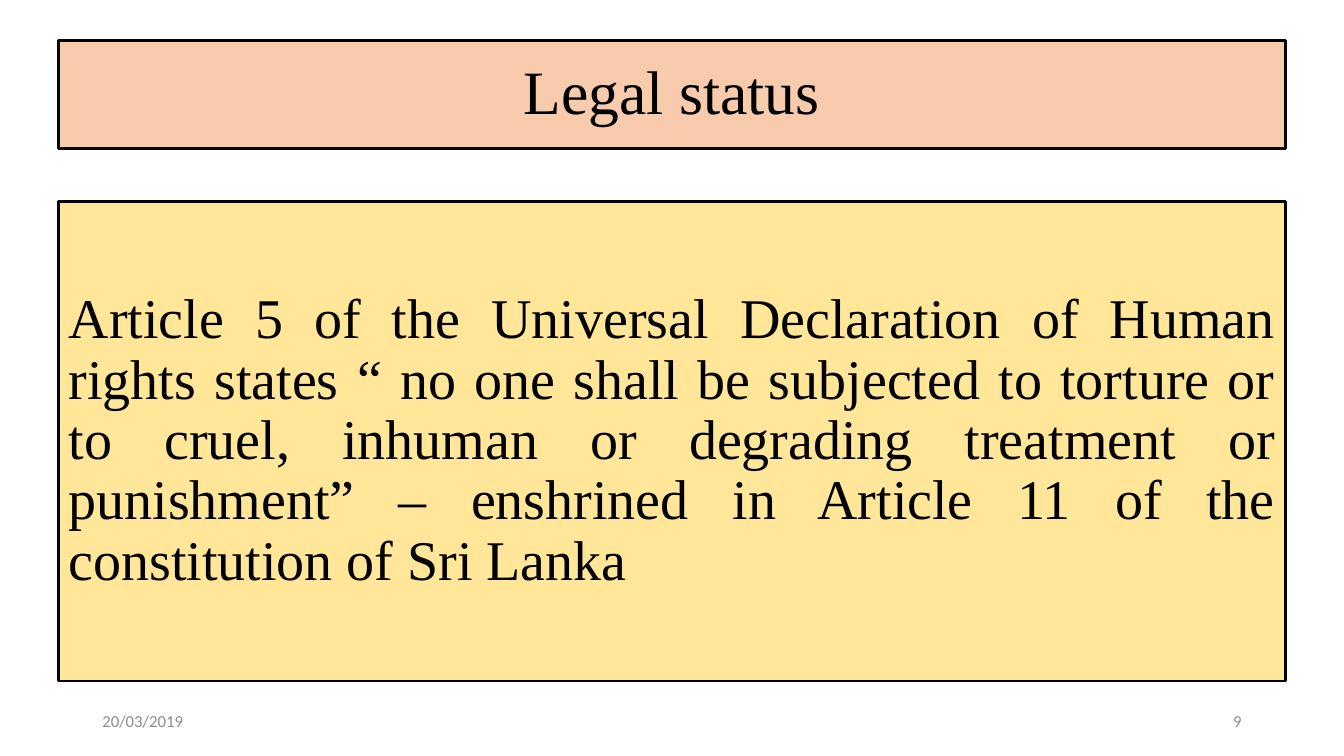
from pptx import Presentation
from pptx.dml.color import RGBColor
from pptx.enum.shapes import MSO_SHAPE
from pptx.enum.text import MSO_ANCHOR, MSO_AUTO_SIZE, PP_ALIGN
from pptx.util import Pt

SERIF = "Times New Roman"
LEFT, WIDTH = 42, 876
QUOTE = (
    "Article 5 of the Universal Declaration of Human rights states “ no one "
    "shall be subjected to torture or to cruel, inhuman or degrading treatment "
    "or punishment” – enshrined in Article 11 of the constitution of Sri Lanka"
)


def color(code):
    return RGBColor.from_string(code)


def place(shape, left, top, width, height):
    shape.left, shape.top = Pt(left), Pt(top)
    shape.width, shape.height = Pt(width), Pt(height)


def write(shape, text, font, size, ink, align):
    frame = shape.text_frame
    frame.word_wrap = True
    frame.auto_size = MSO_AUTO_SIZE.NONE
    frame.vertical_anchor = MSO_ANCHOR.MIDDLE
    line = frame.paragraphs[0]
    line.text = text
    line.alignment = align
    line.font.name = font
    line.font.size = Pt(size)
    line.font.color.rgb = color(ink)
    return line


def panel(shape, top, height, fill, text, size, align):
    """Fill and outline a full-width panel of serif text."""
    place(shape, LEFT, top, WIDTH, height)
    shape.fill.solid()
    shape.fill.fore_color.rgb = color(fill)
    shape.line.color.rgb = color("000000")
    shape.line.width = Pt(2)
    line = write(shape, text, SERIF, size, "000000", align)
    line.line_spacing = 0.9


def footer(slide, left, text, align):
    box = slide.shapes.add_textbox(Pt(left), Pt(500.5), Pt(216), Pt(28.75))
    write(box, text, "Calibri", 12, "8C8C8C", align)


def main():
    deck = Presentation()
    deck.slide_width, deck.slide_height = Pt(960), Pt(540)
    slide = deck.slides.add_slide(deck.slide_layouts[5])

    # Title
    panel(slide.shapes.title, 29, 77, "F8CBAD", "Legal status", 44,
          PP_ALIGN.CENTER)

    # Quotation
    body = slide.shapes.add_shape(MSO_SHAPE.RECTANGLE, 0, 0, 0, 0)
    body.shadow.inherit = False
    panel(body, 144, 342.5, "FFE699", QUOTE, 40, PP_ALIGN.JUSTIFY)

    # Date and slide number
    footer(slide, 66, "20/03/2019", PP_ALIGN.LEFT)
    footer(slide, 678, "9", PP_ALIGN.RIGHT)

    deck.save("out.pptx")


if __name__ == "__main__":
    main()
